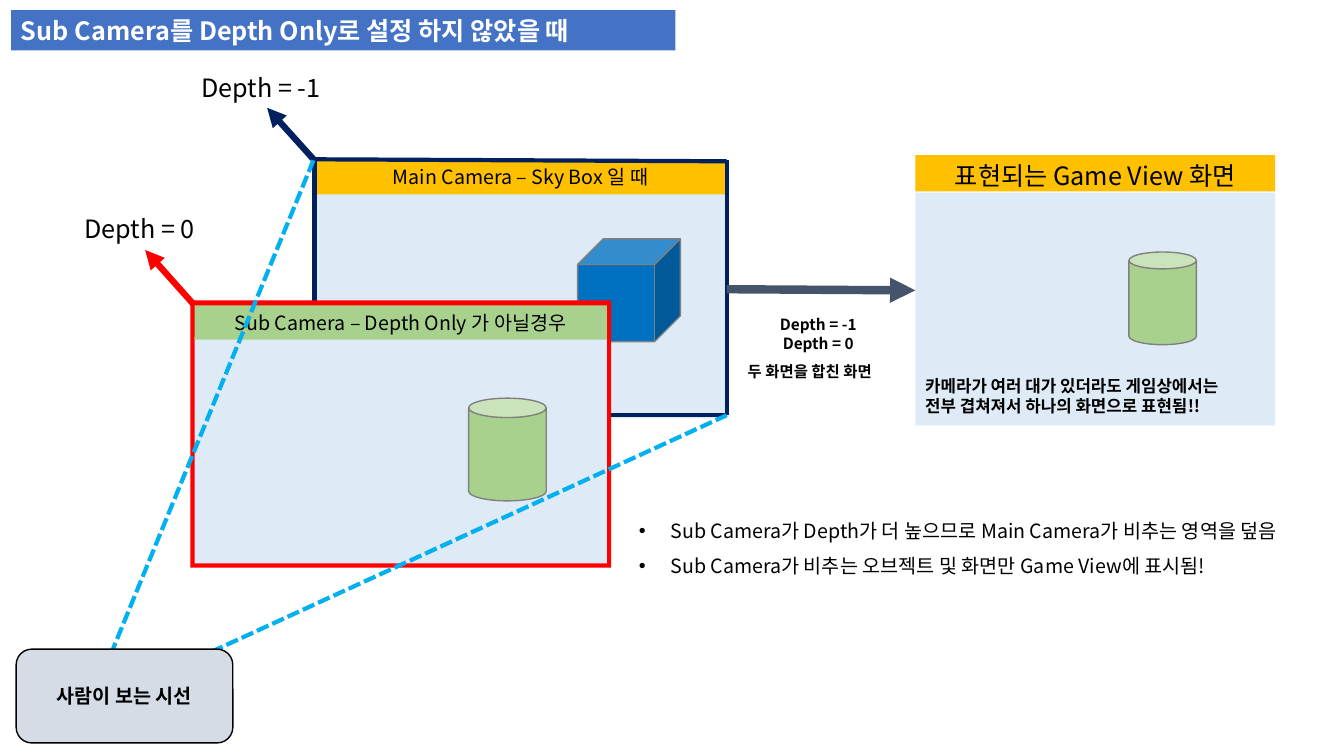
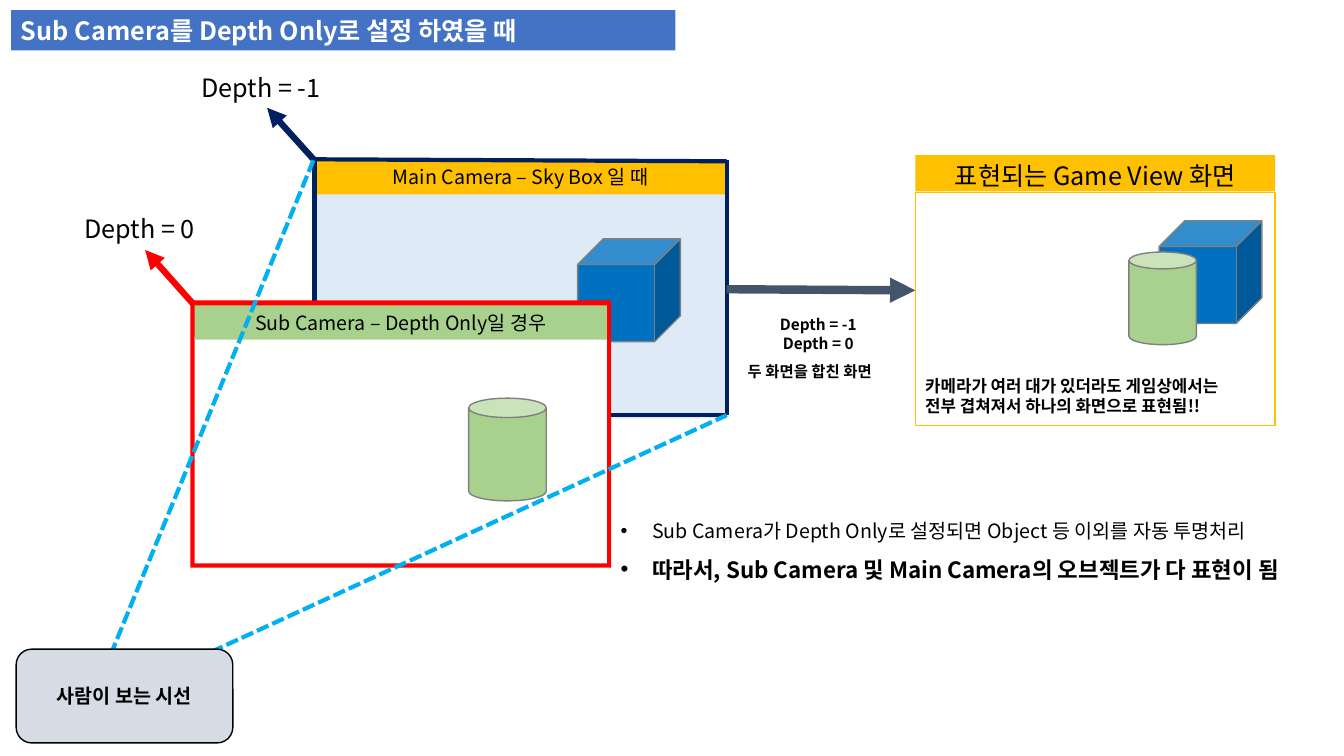
from lxml import etree
from pptx import Presentation
from pptx.dml import color as dml_color
from pptx.enum import dml, shapes, text
from pptx.oxml import ns
from pptx.util import Pt

FONT = "Noto Sans CJK KR"
BLACK, WHITE, GRAY = "000000", "FFFFFF", "808080"
NAVY, RED, SKY, SLATE = "002060", "FF0000", "00B0F0", "44546A"
PALE_BLUE, AMBER, GREEN, BLUE = "DEEBF7", "FFC000", "A9D18E", "0070C0"
TITLE_BLUE, PALE_GRAY = "4472C4", "D6DCE5"

KIND = shapes.MSO_SHAPE
CENTER, LEFT = text.PP_ALIGN.CENTER, text.PP_ALIGN.LEFT
TOP, MIDDLE = text.MSO_ANCHOR.TOP, text.MSO_ANCHOR.MIDDLE
GROW, FIXED = text.MSO_AUTO_SIZE.SHAPE_TO_FIT_TEXT, text.MSO_AUTO_SIZE.NONE

MAIN_LEFT, MAIN_TOP, MAIN_RIGHT, MAIN_BOTTOM = 224.6, 114.5, 519.1, 296.6
SUB_LEFT, SUB_TOP = 139, 218.2
SCREEN_WIDTH, SCREEN_HEIGHT, BAND_HEIGHT = 294.5, 162, 24.5
BORDER = 3
GAME_LEFT, GAME_TOP, GAME_WIDTH = 653.8, 110.9, 257
CUBE_SIZE = 73.4

SLIDES = [
    {
        "title": "Sub Camera를 Depth Only로 설정 하지 않았을 때",
        "sub_label": "Sub Camera – Depth Only 가 아닐경우",
        "sub_fill": PALE_BLUE,
        "game_fill": PALE_BLUE,
        "game_line": None,
        "game_cube": False,
        "notes_box": (449.3, 358.6, 510.5, 58.3),
        "notes": [
            ("Sub Camera가 Depth가 더 높으므로 Main Camera가 비추는 영역을 덮음", 14, False),
            ("Sub Camera가 비추는 오브젝트 및 화면만 Game View에 표시됨!", 14, False),
        ],
    },
    {
        "title": "Sub Camera를 Depth Only로 설정 하였을 때",
        "sub_label": "Sub Camera – Depth Only일 경우",
        "sub_fill": WHITE,
        "game_fill": None,
        "game_line": AMBER,
        "game_cube": True,
        "notes_box": (436.3, 358.6, 524.2, 61.9),
        "notes": [
            ("Sub Camera가 Depth Only로 설정되면 Object 등 이외를 자동 투명처리", 14, False),
            ("따라서, Sub Camera 및 Main Camera의 오브젝트가 다 표현이 됨", 16, True),
        ],
    },
]


def rgb(value):
    return dml_color.RGBColor.from_string(value)


def apply_format(target, values):
    for name, value in values.items():
        setattr(target, name, value)


def add_child(parent, tag, **attributes):
    return etree.SubElement(parent, ns.qn(tag), attributes)


def add_paragraph(frame, index, content, size, color=BLACK, bold=False,
                  align=LEFT, spacing=1.0):
    paragraph = frame.paragraphs[0] if index == 0 else frame.add_paragraph()
    apply_format(paragraph, {"alignment": align, "line_spacing": spacing})
    run = paragraph.add_run()
    run.text = content
    apply_format(run.font, {"size": Pt(size), "bold": bold, "name": FONT})
    run.font.color.rgb = rgb(color)
    add_child(run.font._element, "a:ea", typeface=FONT)
    return paragraph


def add_box(slide, kind, box, fill=None, line=None):
    shape = slide.shapes.add_shape(kind, *map(Pt, box))
    shape.shadow.inherit = False
    if fill:
        shape.fill.solid()
        shape.fill.fore_color.rgb = rgb(fill)
    else:
        shape.fill.background()
    if line:
        shape.line.color.rgb = rgb(line)
        shape.line.width = Pt(1)
    else:
        shape.line.fill.background()
    return shape


def add_label(slide, kind, box, fill, content, size, color=BLACK, bold=False,
              align=CENTER, line=None, anchor=TOP, fit=GROW):
    shape = add_box(slide, kind, box, fill, line)
    apply_format(shape.text_frame, {"word_wrap": True, "vertical_anchor": anchor,
                                    "auto_size": fit})
    add_paragraph(shape.text_frame, 0, content, size, color, bold, align)


def add_text(slide, box, wrap=True):
    frame = slide.shapes.add_textbox(*map(Pt, box)).text_frame
    apply_format(frame, {"word_wrap": wrap, "auto_size": GROW})
    return frame


def add_line(slide, start, end, color, width, arrow=False, dash=None):
    connector = slide.shapes.add_connector(
        shapes.MSO_CONNECTOR.STRAIGHT, *map(Pt, (*start, *end)))
    connector.line.color.rgb = rgb(color)
    apply_format(connector.line, {"width": Pt(width), "dash_style": dash})
    if arrow:
        add_child(connector.line._get_or_add_ln(), "a:tailEnd", type="triangle")
    add_child(connector._element.spPr, "a:effectLst")


def add_bullets(slide, box, notes):
    frame = add_text(slide, box)
    for index, (content, size, bold) in enumerate(notes):
        paragraph = add_paragraph(frame, index, content, size, bold=bold, spacing=1.5)
        properties = paragraph._p.get_or_add_pPr()
        indent = Pt(22.5)
        properties.set("marL", str(indent))
        properties.set("indent", str(-indent))
        add_child(properties, "a:buFont", typeface="Arial")
        add_child(properties, "a:buChar", char="•")


def add_depth(slide, content, box, start, end, color):
    add_line(slide, start, end, color, 4.5, arrow=True)
    add_paragraph(add_text(slide, box, wrap=False), 0, content, 18)


def add_screen(slide, left, top, fill, band_fill, label):
    add_box(slide, KIND.RECTANGLE, (left, top + 22.3, SCREEN_WIDTH, SCREEN_HEIGHT), fill)
    add_label(slide, KIND.RECTANGLE, (left, top, SCREEN_WIDTH, BAND_HEIGHT),
              band_fill, label, 14)


def add_cube(slide, left, top):
    add_box(slide, KIND.CUBE, (left, top, CUBE_SIZE, CUBE_SIZE), BLUE, GRAY)


def add_main_camera(slide):
    add_screen(slide, MAIN_LEFT, MAIN_TOP, PALE_BLUE, AMBER, "Main Camera – Sky Box 일 때")
    add_cube(slide, 412.6, 170.6)
    add_depth(slide, "Depth = -1", (136.8, 48.2, 108, 28.8),
              (MAIN_LEFT, MAIN_TOP), (190.8, 77), NAVY)
    edges = [
        ((MAIN_LEFT, 271.4), (MAIN_LEFT, MAIN_TOP)),
        ((MAIN_LEFT, MAIN_TOP - 0.7), (MAIN_RIGHT, MAIN_TOP + 0.7)),
        ((MAIN_RIGHT, MAIN_BOTTOM), (MAIN_LEFT, MAIN_BOTTOM)),
        ((MAIN_RIGHT, MAIN_TOP), (MAIN_RIGHT, MAIN_BOTTOM)),
    ]
    for start, end in edges:
        add_line(slide, start, end, NAVY, 3)


def add_sub_camera(slide, label, fill):
    add_depth(slide, "Depth = 0", (53.3, 149, 100.8, 28.8),
              (SUB_LEFT, SUB_TOP), (103.7, 178.6), RED)
    add_box(slide, KIND.RECTANGLE, (SUB_LEFT - BORDER, SUB_TOP - 3.6,
                                    SCREEN_WIDTH + 2 * BORDER, 190.8), RED)
    add_screen(slide, SUB_LEFT, SUB_TOP, fill, GREEN, label)
    add_box(slide, KIND.CAN, (334.8, 284.4, 55.4, 73.4), GREEN, GRAY)


def add_sight(slide):
    dash = dml.MSO_LINE.SQUARE_DOT
    eye = (63.4, 505.8)
    add_line(slide, (MAIN_LEFT - 0.7, MAIN_TOP), eye, SKY, 3, dash=dash)
    add_line(slide, eye, (MAIN_RIGHT, MAIN_BOTTOM), SKY, 3, dash=dash)
    add_label(slide, KIND.ROUNDED_RECTANGLE, (11.5, 463.7, 154.8, 67), PALE_GRAY,
              "사람이 보는 시선", 14, bold=True, line=BLACK, anchor=MIDDLE, fit=FIXED)


def add_merge(slide):
    add_line(slide, (MAIN_RIGHT, 206.6), (GAME_LEFT, 207.4), SLATE, 6, arrow=True)
    frame = add_text(slide, (527, 221.8, 115.2, 54), wrap=False)
    lines = [("Depth = -1", CENTER, 1.0), ("Depth = 0", CENTER, 1.0),
             ("두 화면을 합친 화면", LEFT, 1.5)]
    for index, (content, align, spacing) in enumerate(lines):
        add_paragraph(frame, index, content, 11, bold=True, align=align, spacing=spacing)


def add_game_view(slide, fill, line, with_cube):
    add_box(slide, KIND.RECTANGLE, (GAME_LEFT, GAME_TOP + 26.6, GAME_WIDTH, 166.3), fill, line)
    add_label(slide, KIND.RECTANGLE, (GAME_LEFT, GAME_TOP, GAME_WIDTH, 25.9), AMBER,
              "표현되는 Game View 화면", 18)
    if with_cube:
        add_cube(slide, 828, 157.7)
    add_box(slide, KIND.CAN, (806.4, 180, 48.2, 66.2), GREEN, GRAY)
    frame = add_text(slide, (GAME_LEFT, 265, GAME_WIDTH, 36))
    lines = ["카메라가 여러 대가 있더라도 게임상에서는", "전부 겹쳐져서 하나의 화면으로 표현됨!!"]
    for index, content in enumerate(lines):
        add_paragraph(frame, index, content, 12, bold=True)


def build_slide(presentation, content):
    slide = presentation.slides.add_slide(presentation.slide_layouts[6])
    add_main_camera(slide)
    add_sub_camera(slide, content["sub_label"], content["sub_fill"])
    add_sight(slide)
    add_merge(slide)
    add_bullets(slide, content["notes_box"], content["notes"])
    add_game_view(slide, content["game_fill"], content["game_line"], content["game_cube"])
    add_label(slide, KIND.RECTANGLE, (7.9, 7.2, 474.5, 28.8), TITLE_BLUE,
              content["title"], 18, WHITE, True, LEFT)


def main():
    presentation = Presentation()
    apply_format(presentation, {"slide_width": Pt(960), "slide_height": Pt(540)})
    for content in SLIDES:
        build_slide(presentation, content)
    presentation.save("out.pptx")


if __name__ == "__main__":
    main()
